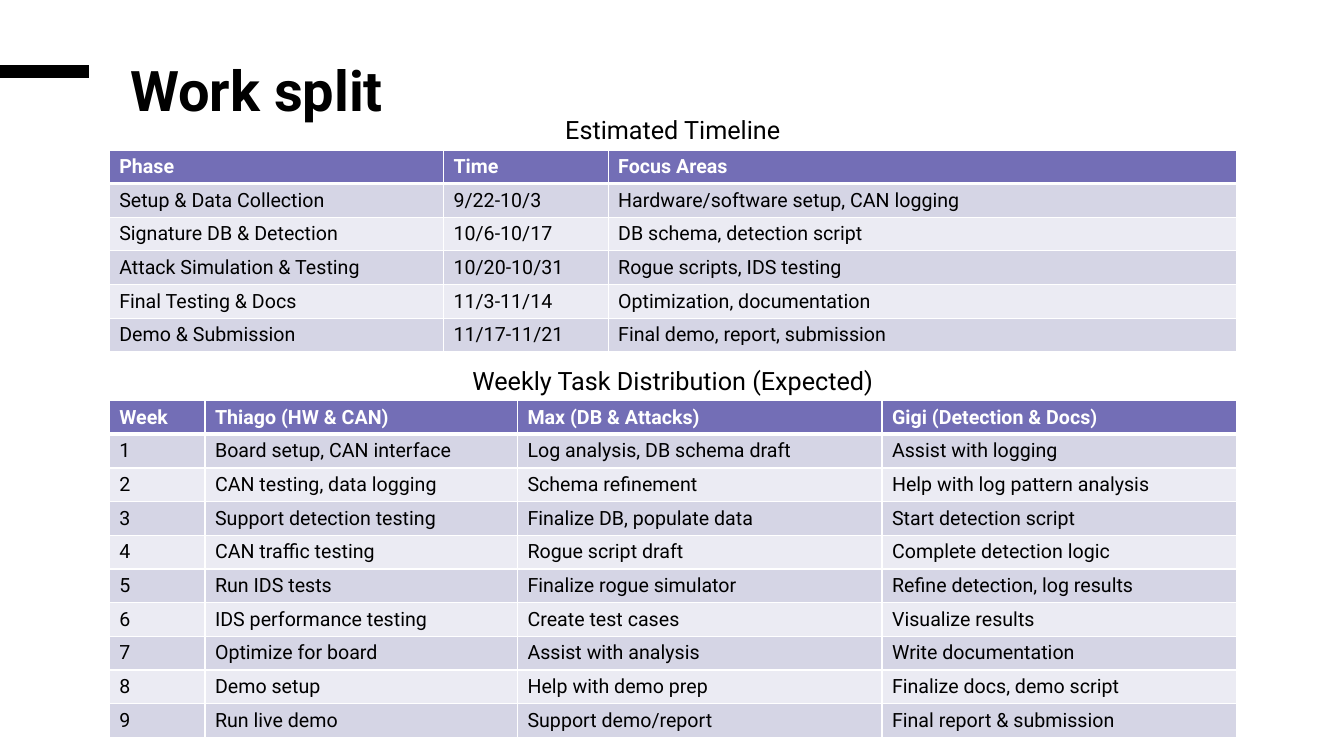
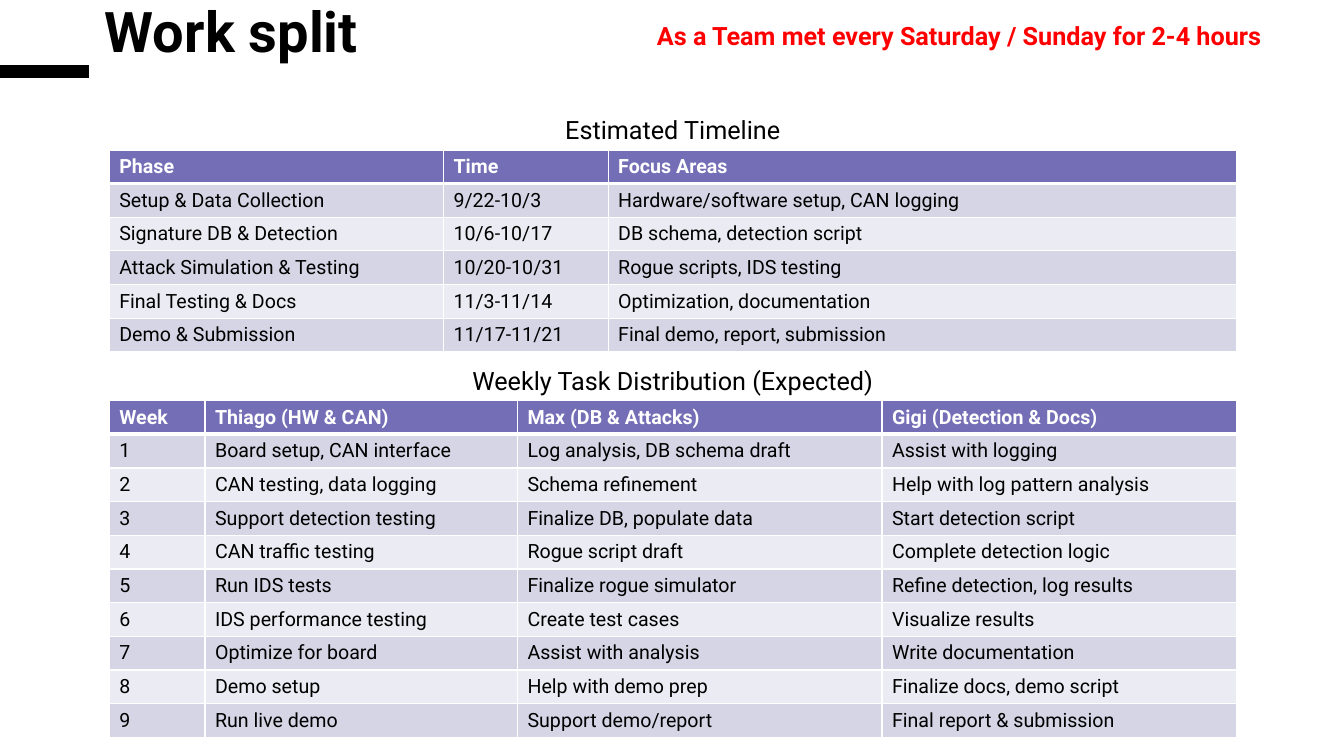
from collections import namedtuple
from dataclasses import dataclass

from lxml import etree
from pptx import Presentation
from pptx import util as u
from pptx.dml.color import RGBColor
from pptx.enum import shapes, text
from pptx.oxml import ns

COLS, ROWS = 160, 90
CELL = u.Inches(1) / 12
Box = namedtuple("Box", "x y w h")


@dataclass(frozen=True)
class Theme:
    font: str = "Roboto"
    ink: str = "000000"
    paper: str = "FFFFFF"
    header: str = "736EB6"
    bands: tuple = ("D5D5E5", "EBEBF3")
    alert: str = "FF0000"
    title_size: float = 40
    caption_size: float = 18
    table_size: float = 14
    accent_width: float = 9.5
    rule: float = 1
    header_rule: float = 3


T = Theme()

TIMELINE = [
    ("Phase", "Time", "Focus Areas"),
    ("Setup & Data Collection", "9/22-10/3", "Hardware/software setup, CAN logging"),
    ("Signature DB & Detection", "10/6-10/17", "DB schema, detection script"),
    ("Attack Simulation & Testing", "10/20-10/31", "Rogue scripts, IDS testing"),
    ("Final Testing & Docs", "11/3-11/14", "Optimization, documentation"),
    ("Demo & Submission", "11/17-11/21", "Final demo, report, submission"),
]
TASKS = [
    ("Week", "Thiago (HW & CAN)", "Max (DB & Attacks)", "Gigi (Detection & Docs)"),
    ("1", "Board setup, CAN interface", "Log analysis, DB schema draft", "Assist with logging"),
    ("2", "CAN testing, data logging", "Schema refinement", "Help with log pattern analysis"),
    ("3", "Support detection testing", "Finalize DB, populate data", "Start detection script"),
    ("4", "CAN traffic testing", "Rogue script draft", "Complete detection logic"),
    ("5", "Run IDS tests", "Finalize rogue simulator", "Refine detection, log results"),
    ("6", "IDS performance testing", "Create test cases", "Visualize results"),
    ("7", "Optimize for board", "Assist with analysis", "Write documentation"),
    ("8", "Demo setup", "Help with demo prep", "Finalize docs, demo script"),
    ("9", "Run live demo", "Support demo/report", "Final report & submission"),
]

CAPTION_W, CAPTION_H, ROW_H = 80, 4.8, 4
SECTIONS = [
    ("Estimated Timeline", TIMELINE, (39.8, 19.6, 74.8), 13.05),
    ("Weekly Task Distribution (Expected)", TASKS, (11.4, 37.2, 43.4, 42.2), 42.9),
]


def emu(n):
    return u.Emu(round(n * CELL))


def rgb(color):
    return RGBColor.from_string(color)


def style(p, size, color, bold=False):
    for r in p.runs:
        r.font.name, r.font.size, r.font.bold = T.font, u.Pt(size), bold
        r.font.color.rgb = rgb(color)


def add_text(slide, box, words, size, color=T.ink, bold=False, fill=None,
             align=text.PP_ALIGN.CENTER, spacing=None):
    sp = slide.shapes.add_textbox(*map(emu, box))
    if fill:
        sp.fill.solid()
        sp.fill.fore_color.rgb = rgb(fill)
    tf = sp.text_frame
    tf.word_wrap = True
    tf.text = words
    p = tf.paragraphs[0]
    p.alignment, p.line_spacing = align, spacing
    style(p, size, color, bold)


def add_accent(slide, box):
    x, y, w, _ = map(emu, box)
    line = slide.shapes.add_connector(shapes.MSO_CONNECTOR.STRAIGHT, x, y, x + w, y)
    line.line.color.rgb = rgb(T.ink)
    line.line.width = u.Pt(T.accent_width)
    etree.SubElement(line._element.spPr, ns.qn("a:effectLst"))


def set_borders(cell, top, bottom):
    pr = cell._tc.get_or_add_tcPr()
    widths = (("lnL", T.rule), ("lnR", T.rule), ("lnT", top), ("lnB", bottom))
    for i, (tag, width) in enumerate(widths):
        ln = etree.Element(ns.qn("a:" + tag), w=str(u.Pt(width)))
        fill = etree.SubElement(ln, ns.qn("a:solidFill"))
        etree.SubElement(fill, ns.qn("a:srgbClr"), val=T.paper)
        pr.insert(i, ln)


def add_grid(slide, box, rows, weights):
    table = slide.shapes.add_table(len(rows), len(weights), *map(emu, box)).table
    table.horz_banding = False
    for col, weight in zip(table.columns, weights):
        col.width = emu(box.w * weight / sum(weights))
    for i, row in enumerate(rows):
        head = i == 0
        table.rows[i].height = emu(box.h / len(rows))
        for j, words in enumerate(row):
            cell = table.cell(i, j)
            cell.text = words
            cell.vertical_anchor = text.MSO_ANCHOR.MIDDLE
            style(cell.text_frame.paragraphs[0], T.table_size,
                  T.paper if head else T.ink, head)
            cell.fill.solid()
            cell.fill.fore_color.rgb = rgb(T.header if head else T.bands[(i - 1) % 2])
            set_borders(cell, T.header_rule if i == 1 else T.rule,
                        T.header_rule if head else T.rule)


def add_section(slide, box, caption, rows, weights):
    left = box.x + (box.w - CAPTION_W) / 2
    add_text(slide, Box(left, box.y, CAPTION_W, CAPTION_H), caption, T.caption_size)
    add_grid(slide, Box(box.x, box.y + CAPTION_H, box.w, box.h - CAPTION_H), rows, weights)


def add_work_split(prs, title_box, note=None):
    slide = prs.slides.add_slide(prs.slide_layouts[6])
    add_accent(slide, Box(0, 8.5, 10.6, 0))
    add_text(slide, title_box, "Work split", T.title_size, bold=True,
             align=text.PP_ALIGN.LEFT, spacing=0.85)
    for caption, rows, weights, top in SECTIONS:
        box = Box(13, top, sum(weights), CAPTION_H + ROW_H * len(rows))
        add_section(slide, box, caption, rows, weights)
    if note:
        add_text(slide, Box(70.4, 1.8, 87.6, CAPTION_H), note, T.caption_size,
                 T.alert, bold=True, fill=T.paper)


def main():
    prs = Presentation()
    prs.slide_width, prs.slide_height = emu(COLS), emu(ROWS)
    add_work_split(prs, Box(14.3, 7.2, 61.3, 19))
    add_work_split(prs, Box(11.3, 0.2, 61.3, 8.3),
                   "As a Team met every Saturday / Sunday for 2-4 hours")
    prs.save("out.pptx")


if __name__ == "__main__":
    main()
